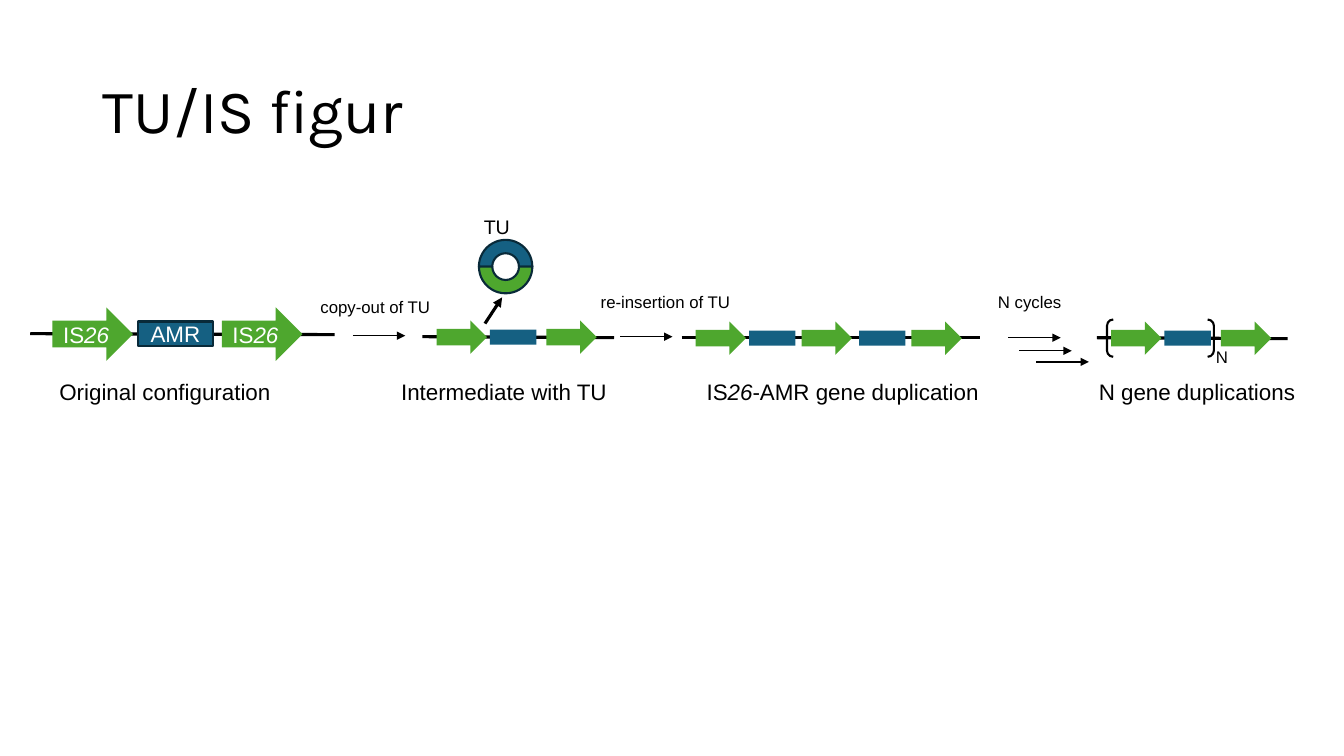
from lxml import etree
from pptx import Presentation
from pptx.dml.color import RGBColor
from pptx.enum.shapes import MSO_CONNECTOR, MSO_SHAPE
from pptx.enum.text import MSO_ANCHOR, PP_ALIGN
from pptx.oxml.ns import qn
from pptx.util import Pt

PX = 9144  # 100 px to the inch
BLACK = RGBColor(0x00, 0x00, 0x00)
WHITE = RGBColor(0xFF, 0xFF, 0xFF)
GREEN = RGBColor(0x4E, 0xA7, 0x2E)
BLUE = RGBColor(0x15, 0x60, 0x82)
NAVY = RGBColor(0x09, 0x2A, 0x39)

# Content: text is a tuple of runs, and runs in ITALIC are slanted
ITALIC = {"26"}
TITLE = ("TU/IS figur",)
IS_LABEL = ("IS", "26")
AMR_LABEL = ("AMR",)

# Runs, left, top, width, height, size
LABELS = [
    (("Original configuration",), 49, 370, 238, 37, 16),
    (("Intermediate with TU",), 388, 370, 227, 37, 16),
    (("IS", "26", "-AMR gene duplication"), 691, 370, 293, 37, 16),
    (("N gene duplications",), 1080, 370, 223, 37, 16),
    (("copy-out of TU",), 308, 289, 130, 30, 12),
    (("re-insertion of TU",), 586, 285, 150, 30, 12),
    (("N cycles",), 980, 285, 84, 30, 12),
    (("TU",), 470, 208, 46, 34, 14),
    (("N",), 1196, 339, 32, 30, 12),
]

# Backbone start and end, then the lefts of IS arrows and AMR boxes
ORIGINAL = ((30, 331, 332, 332), (52, 220), (137,))
SMALL_MAPS = [
    ((419, 334, 609, 335), (433, 542), (486,)),
    ((676, 335, 972, 335), (690, 795, 904), (743, 852)),
    ((1088, 335, 1277, 336), (1102, 1211), (1155,)),
]

# Left and height of each step arrow
STEP_LENGTH = 52
STEPS = [(350, 333), (615, 334), (1000, 335), (1011, 348), (1028, 359)]
COPY_OUT = (481, 321, 498, 295)
CIRCLE = (475, 238, 53, 53)
BRACKETS = (1098, 317, 106, 37)


def write(shape, runs, size, color=BLACK, font="Arial", align=PP_ALIGN.LEFT,
          anchor=MSO_ANCHOR.TOP, wrap=False, spacing=None):
    frame = shape.text_frame
    frame.word_wrap = wrap
    frame.vertical_anchor = anchor
    paragraph = frame.paragraphs[0]
    paragraph.alignment = align
    paragraph.line_spacing = spacing
    for text in runs:
        run = paragraph.add_run()
        run.text = text
        run.font.name = font
        run.font.size = Pt(size)
        run.font.color.rgb = color
        run.font.italic = text in ITALIC


def add_text(box, runs, size, **style):
    write(slide.shapes.add_textbox(*(value * PX for value in box)), runs, size, **style)


def add_shape(kind, box, fill=None, line=None):
    shape = slide.shapes.add_shape(kind, *(value * PX for value in box))
    shape.shadow.inherit = False
    if fill is None:
        shape.fill.background()
    else:
        shape.fill.solid()
        shape.fill.fore_color.rgb = fill
    if line is None:
        shape.line.fill.background()
    else:
        shape.line.color.rgb = line
        shape.line.width = Pt(1.5)
    return shape


def add_line(ends, width, arrow=False):
    connector = slide.shapes.add_connector(
        MSO_CONNECTOR.STRAIGHT, *(value * PX for value in ends))
    connector.line.color.rgb = BLACK
    connector.line.width = Pt(width)
    if arrow:
        etree.SubElement(connector.line._get_or_add_ln(), qn("a:tailEnd"), type="triangle")
    etree.SubElement(connector._element.spPr, qn("a:effectLst"))


def add_gene_map(backbone, is_lefts, amr_lefts, is_size, amr_size, drop, amr_drop, labelled=False):
    """Draw a backbone with its genes; drops are measured from the backbone."""
    add_line(backbone, 2.25)
    top = backbone[1]
    genes = [(MSO_SHAPE.RIGHT_ARROW, is_lefts, drop, is_size, GREEN, None, IS_LABEL),
             (MSO_SHAPE.RECTANGLE, amr_lefts, amr_drop, amr_size, BLUE,
              NAVY if labelled else None, AMR_LABEL)]
    for kind, lefts, offset, size, fill, line, label in genes:
        for left in lefts:
            gene = add_shape(kind, (left, top + offset, *size), fill, line)
            if labelled:
                write(gene, label, 16, color=WHITE, align=PP_ALIGN.CENTER,
                      anchor=MSO_ANCHOR.MIDDLE)


presentation = Presentation()
presentation.slide_width = 1333 * PX
presentation.slide_height = 750 * PX
slide = presentation.slides.add_slide(presentation.slide_layouts[6])

# Title
add_text((92, 40, 1150, 145), TITLE, 44, font="Karla", anchor=MSO_ANCHOR.MIDDLE,
         wrap=True, spacing=0.9)

# Gene maps
add_gene_map(*ORIGINAL, (80, 53), (74, 24), -26, -12, labelled=True)
for gene_map in SMALL_MAPS:
    add_gene_map(*gene_map, (50, 33), (46, 15), -16, -7)
add_shape(MSO_SHAPE.DOUBLE_BRACKET, BRACKETS, line=BLACK)

# Circular TU: two half rings
for fill, rotation in ((BLUE, 0), (GREEN, 180)):
    add_shape(MSO_SHAPE.BLOCK_ARC, CIRCLE, fill, NAVY).rotation = rotation
add_line(COPY_OUT, 2.25, arrow=True)

# Step arrows and labels
for left, y in STEPS:
    add_line((left, y, left + STEP_LENGTH, y), 1, arrow=True)
for runs, left, top, width, height, size in LABELS:
    add_text((left, top, width, height), runs, size)

presentation.save("out.pptx")
